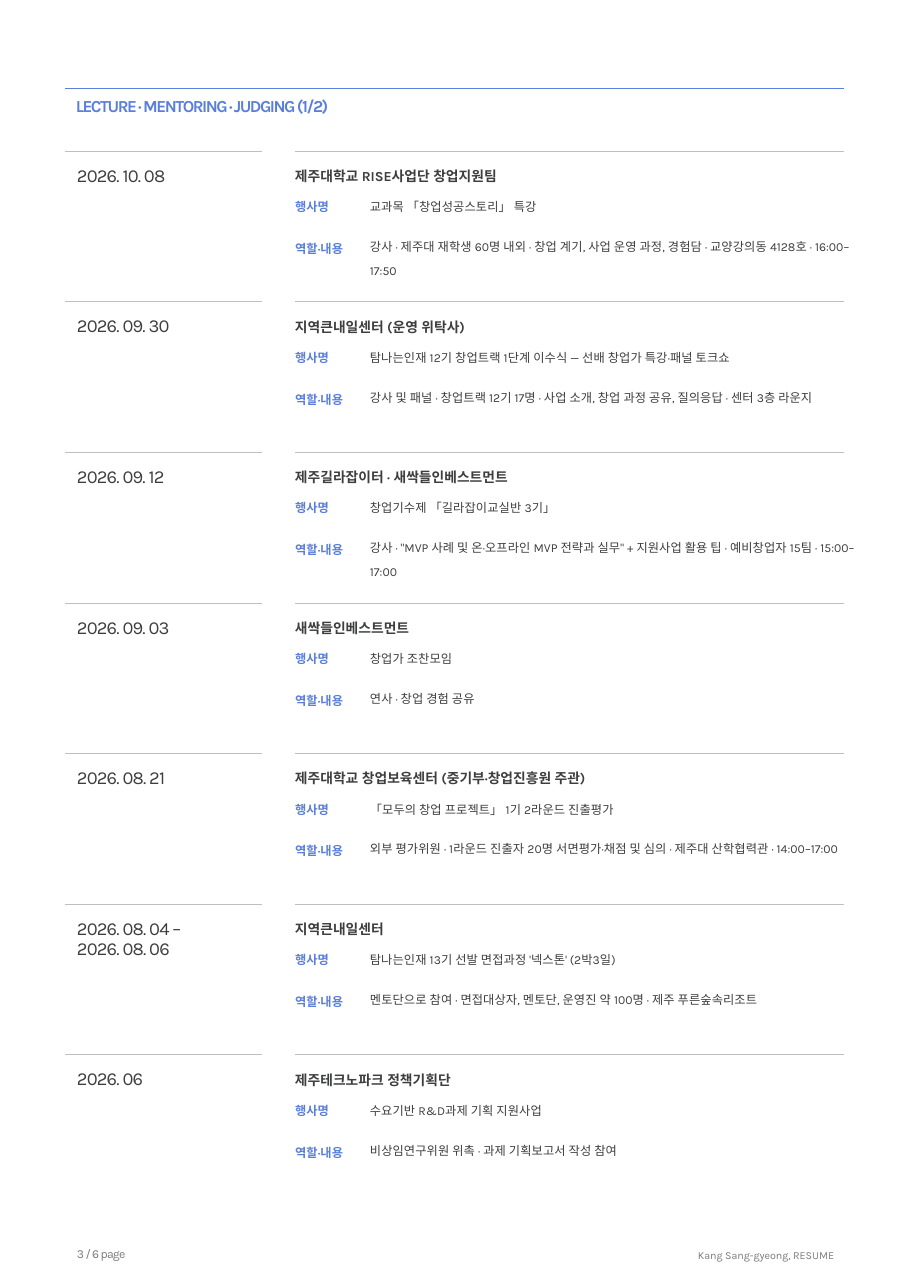
from pptx import Presentation
from pptx.enum import shapes, text
from pptx.oxml.ns import qn
from pptx import util as u
from pptx.dml.color import RGBColor
from lxml import etree

COLORS = {"accent": "5A7FDB", "ink": "3D3E3E", "muted": "7B7C7C",
          "rule": "BFBFBF", "paper": "FFFFFF"}
FONT = "Karla"

# Date, host, event, role and content
ENTRIES = [
    ("2026. 10. 08", "제주대학교 RISE사업단 창업지원팀",
     "교과목 「창업성공스토리」 특강",
     "강사 · 제주대 재학생 60명 내외 · 창업 계기, 사업 운영 과정, 경험담 · 교양강의동 4128호 · 16:00–17:50"),
    ("2026. 09. 30", "지역큰내일센터 (운영 위탁사)",
     "탐나는인재 12기 창업트랙 1단계 이수식 — 선배 창업가 특강·패널 토크쇼",
     "강사 및 패널 · 창업트랙 12기 17명 · 사업 소개, 창업 과정 공유, 질의응답 · 센터 3층 라운지"),
    ("2026. 09. 12", "제주길라잡이터 · 새싹들인베스트먼트",
     "창업기수제 「길라잡이교실반 3기」",
     "강사 · \"MVP 사례 및 온·오프라인 MVP 전략과 실무\" + 지원사업 활용 팁 · 예비창업자 15팀 · 15:00–17:00"),
    ("2026. 09. 03", "새싹들인베스트먼트", "창업가 조찬모임", "연사 · 창업 경험 공유"),
    ("2026. 08. 21", "제주대학교 창업보육센터 (중기부·창업진흥원 주관)",
     "「모두의 창업 프로젝트」 1기 2라운드 진출평가",
     "외부 평가위원 · 1라운드 진출자 20명 서면평가·채점 및 심의 · 제주대 산학협력관 · 14:00–17:00"),
    ("2026. 08. 04 –\n2026. 08. 06", "지역큰내일센터",
     "탐나는인재 13기 선발 면접과정 '넥스톤' (2박3일)",
     "멘토단으로 참여 · 면접대상자, 멘토단, 운영진 약 100명 · 제주 푸른숲속리조트"),
    ("2026. 06", "제주테크노파크 정책기획단", "수요기반 R&D과제 기획 지원사업",
     "비상임연구위원 위촉 · 과제 기획보고서 작성 참여"),
]
FIRST_TOP, LAST_TOP = 1.37, 9.57
PITCH = (LAST_TOP - FIRST_TOP) / (len(ENTRIES) - 1)
LEFT, RIGHT = 0.59, 7.66
DATE_X, HOST_X, DETAIL_X = 0.6, 2.58, 3.26


class ResumePage:
    def __init__(self, prs):
        self.s = prs.slides.add_slide(prs.slide_layouts[6])
        fill = self.s.background.fill
        fill.solid()
        fill.fore_color.rgb = RGBColor.from_string(COLORS["paper"])

    def rule(self, x1, x2, y, color="rule", width=0.15):
        line = self.s.shapes.add_connector(
            shapes.MSO_CONNECTOR.STRAIGHT,
            u.Inches(x1), u.Inches(y), u.Inches(x2), u.Inches(y))
        line.line.color.rgb = RGBColor.from_string(COLORS[color])
        line.line.width = u.Pt(width)
        etree.SubElement(line._element.spPr, qn("a:effectLst"))

    def label(self, words, x, y, w, h, size, color="ink", bold=False,
              leading=None, tracking=0, align=text.PP_ALIGN.LEFT):
        tf = self.s.shapes.add_textbox(
            u.Inches(x), u.Inches(y), u.Inches(w), u.Inches(h)).text_frame
        tf.word_wrap = True
        tf.auto_size = text.MSO_AUTO_SIZE.SHAPE_TO_FIT_TEXT
        tf.text = words
        for p in tf.paragraphs:
            p.alignment = align
            if leading:
                p.line_spacing = u.Pt(leading)
            for r in p.runs:
                r.font.name = FONT
                r.font.size = u.Pt(size)
                r.font.bold = bold
                r.font.color.rgb = RGBColor.from_string(COLORS[color])
                rPr = r.font._element
                etree.SubElement(rPr, qn("a:ea")).set("typeface", FONT)
                if tracking:
                    rPr.set("spc", str(int(tracking * 100)))

    def entry(self, top, date, host, event, role):
        self.rule(LEFT, 2.38, top)
        self.rule(2.68, RIGHT, top)
        self.label(date, DATE_X, top + 0.08, 1.38, 0.5, 12,
                   leading=13.6, tracking=-0.5)
        self.label(host, HOST_X, top + 0.01, 5.03, 0.33, 9,
                   bold=True, leading=17.6)
        for heading, offset in (("행사명", 0.28), ("역할·내용", 0.66)):
            self.label(heading, HOST_X, top + offset, 0.68, 0.32, 8,
                       "accent", bold=True, leading=17.6)
        self.label(event, DETAIL_X, top + 0.28, 5.2, 0.32, 8, leading=17.6)
        self.label(role, DETAIL_X, top + 0.67, 4.61, 0.75, 8, leading=15.6)


def main():
    prs = Presentation()
    prs.slide_width, prs.slide_height = u.Inches(8.27), u.Inches(11.69)
    page = ResumePage(prs)

    # Section heading
    page.rule(LEFT, RIGHT, 0.8, "accent", 0.25)
    page.label("LECTURE · MENTORING · JUDGING (1/2)", LEFT, 0.82, 4.37, 0.29,
               11, "accent", bold=True, tracking=-1)

    # Dated entries
    for i, fields in enumerate(ENTRIES):
        page.entry(FIRST_TOP + i * PITCH, *fields)

    # Footer
    page.label("3 / 6 page", DATE_X, 11.21, 1.38, 0.28, 8, "muted",
               leading=13.6, tracking=-0.5)
    page.label("Kang Sang-gyeong, RESUME", 5.26, 11.21, 2.41, 0.28, 7, "muted",
               leading=13.6, align=text.PP_ALIGN.RIGHT)

    prs.save("out.pptx")


if __name__ == "__main__":
    main()
